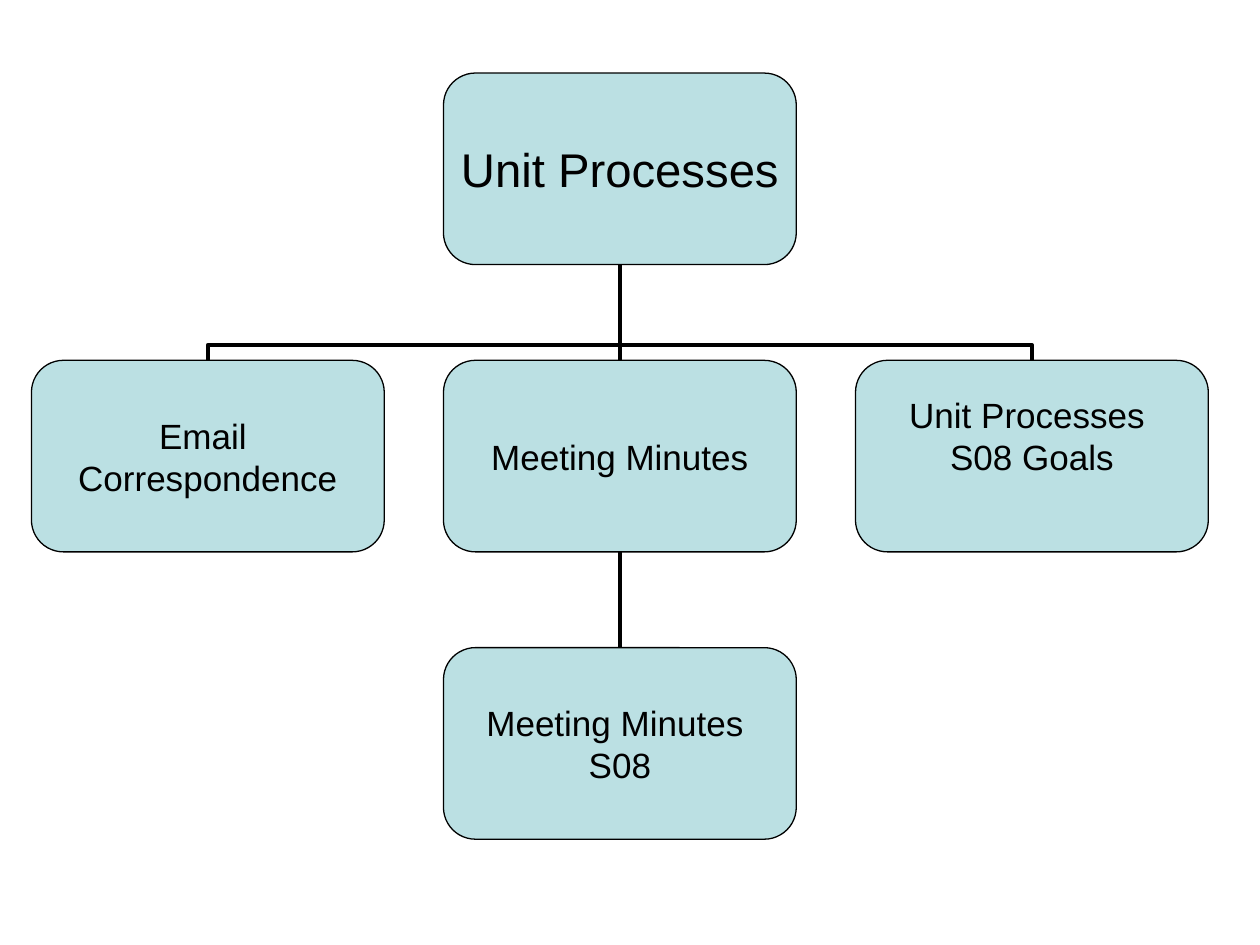
from lxml import etree
from pptx import Presentation
from pptx.dml.color import RGBColor
from pptx.enum.shapes import MSO_CONNECTOR, MSO_SHAPE
from pptx.enum.text import MSO_ANCHOR, PP_ALIGN
from pptx.oxml.ns import qn
from pptx.util import Inches, Pt

ROUNDED = MSO_SHAPE.ROUNDED_RECTANGLE
STRAIGHT, ELBOW = MSO_CONNECTOR.STRAIGHT, MSO_CONNECTOR.ELBOW
TOP, BOTTOM = 0, 2

# name: (column, row, lines, text size, bottom inset in inches)
BOXES = {
    "processes": (1, 0, ["Unit Processes"], 27, 0),
    "email": (0, 1, ["Email ", "Correspondence"], 20, 0),
    "minutes": (1, 1, ["Meeting Minutes"], 20, 0),
    "goals": (2, 1, ["Unit Processes ", "S08 Goals"], 20, 0.33),
    "minutes_s08": (1, 2, ["Meeting Minutes ", "S08"], 20, 0),
}
# (child, parent)
LINKS = [("minutes_s08", "minutes"), ("goals", "processes"),
         ("minutes", "processes"), ("email", "processes")]

LEFT, COLUMN_STEP, BOX_WIDTH = 0.25, 3.27, 2.8
FIRST_ROW, ROW_STEP, BOX_HEIGHT = 0.58, 2.28, 1.52
BEND = 0.16  # share of the gap between child and bend
FILL, INK = "BBE0E3", "000000"


def color(value):
    return RGBColor.from_string(value)


def write_text(shape, lines, size, bottom_inset=0, font="Arial", ink=INK):
    frame = shape.text_frame
    frame.word_wrap = False
    frame.vertical_anchor = MSO_ANCHOR.MIDDLE
    frame.margin_left = frame.margin_right = frame.margin_top = 0
    frame.margin_bottom = Inches(bottom_inset)
    for index, line in enumerate(lines):
        para = frame.paragraphs[0] if index == 0 else frame.add_paragraph()
        para.alignment = PP_ALIGN.CENTER
        span = para.add_run()
        span.text = line
        span.font.size = Pt(size)
        span.font.name = font
        span.font.color.rgb = color(ink)


def add_box(slide, column, row, lines, size, bottom_inset):
    box = slide.shapes.add_shape(
        ROUNDED, Inches(LEFT + column * COLUMN_STEP),
        Inches(FIRST_ROW + row * ROW_STEP),
        Inches(BOX_WIDTH), Inches(BOX_HEIGHT))
    box.shadow.inherit = False
    box.fill.solid()
    box.fill.fore_color.rgb = color(FILL)
    box.line.color.rgb = color(INK)
    box.line.width = Pt(0.75)
    write_text(box, lines, size, bottom_inset=bottom_inset)
    return box


def turn_upright(link, child, parent):
    """Rotate an elbow so that it leaves the child's top vertically."""
    start_x = child.left + child.width // 2
    end_x = parent.left + parent.width // 2
    end_y = parent.top + parent.height
    rise, run = child.top - end_y, abs(end_x - start_x)
    link.width, link.height = rise, run
    link.left = (start_x + end_x - rise) // 2
    link.top = (child.top + end_y - run) // 2

    from_right = start_x > end_x
    properties = link._element.spPr
    frame = properties.find(qn("a:xfrm"))
    frame.set("rot", "16200000" if from_right else "5400000")
    frame.set("flipH", "0" if from_right else "1")
    frame.set("flipV", "1")
    geometry = properties.find(qn("a:prstGeom"))
    adjustments = geometry.find(qn("a:avLst"))
    if adjustments is None:
        adjustments = etree.SubElement(geometry, qn("a:avLst"))
    etree.SubElement(adjustments, qn("a:gd"), name="adj1",
                     fmla=f"val {round(BEND * 100000)}")


def add_link(slide, child, parent):
    straight = child.left == parent.left
    link = slide.shapes.add_connector(STRAIGHT if straight else ELBOW, 0, 0, 0, 0)
    link.begin_connect(child, TOP)
    link.end_connect(parent, BOTTOM)
    if not straight:
        turn_upright(link, child, parent)
    link.line.color.rgb = color(INK)
    link.line.width = Pt(2.25)
    etree.SubElement(link._element.spPr, qn("a:effectLst"))


def main():
    deck = Presentation()
    deck.slide_width, deck.slide_height = Inches(10), Inches(7.5)
    slide = deck.slides.add_slide(deck.slide_layouts[6])
    boxes = {name: add_box(slide, *content) for name, content in BOXES.items()}
    for child, parent in LINKS:
        add_link(slide, boxes[child], boxes[parent])
    deck.save("out.pptx")


if __name__ == "__main__":
    main()
